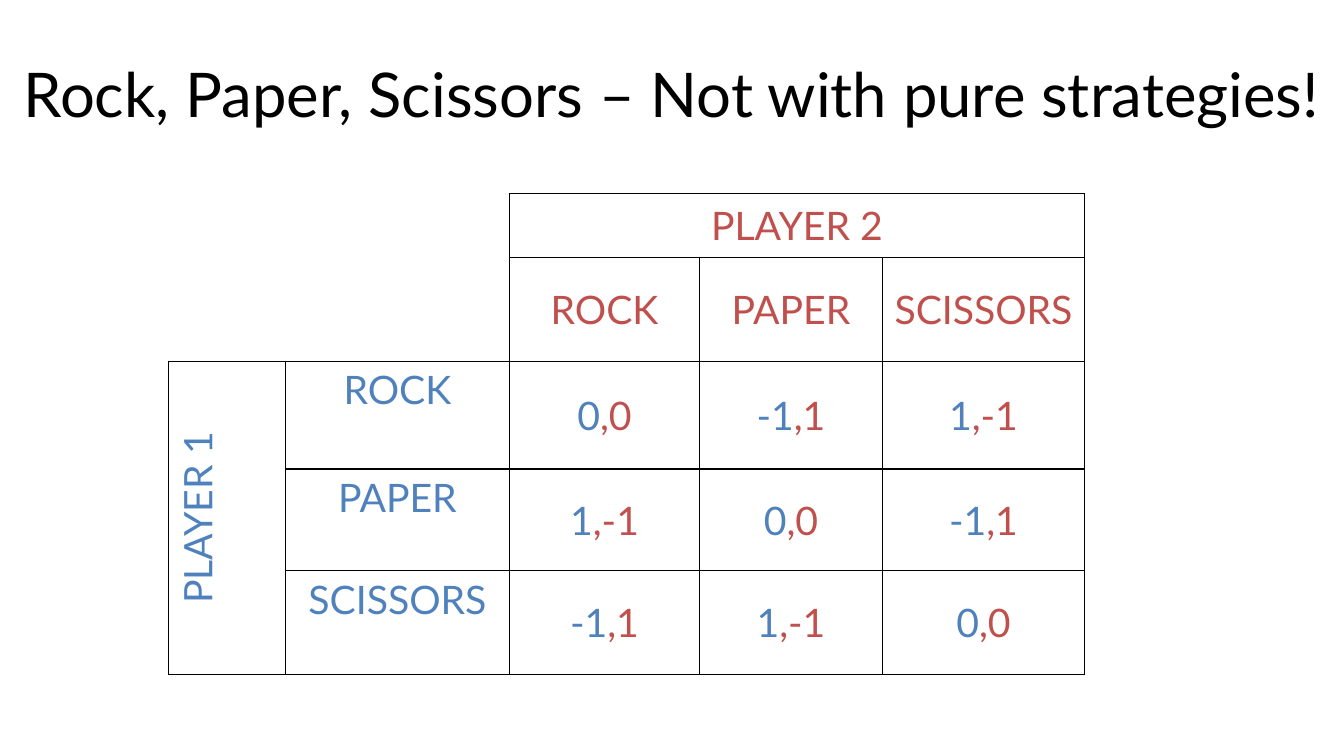
from lxml.etree import SubElement
from pptx import Presentation
from pptx.dml.color import RGBColor
from pptx.enum.text import MSO_ANCHOR, PP_ALIGN
from pptx.oxml.ns import qn
from pptx.util import Pt

FONT = "Lato"
BLACK = RGBColor(0x00, 0x00, 0x00)
BLUE = RGBColor(0x4F, 0x81, 0xBD)
RED = RGBColor(0xC0, 0x50, 0x4D)

MOVES = ["ROCK", "PAPER", "SCISSORS"]
PAYOFFS = [(0, 0), (1, -1), (-1, 1)]
COLUMN_WIDTHS = [83.5, 159.8, 136.1, 130.3, 144.7]
ROW_HEIGHTS = [45.4, 74.2, 77, 72.7, 74.2]


def style_run(run, size, color):
    run.font.name = FONT
    run.font.size = Pt(size)
    run.font.color.rgb = color


def add_title(slide, text, left, top, width, height):
    title = slide.shapes.title
    title.left, title.top, title.width, title.height = map(Pt, (left, top, width, height))
    frame = title.text_frame
    frame.text = text
    frame.vertical_anchor = MSO_ANCHOR.MIDDLE
    frame.paragraphs[0].alignment = PP_ALIGN.CENTER
    style_run(frame.paragraphs[0].runs[0], 44, BLACK)


def set_borders(cell, sides):
    """Clear the fill and draw 1 pt lines on the sides, given in the order L, R, T, B."""
    cell.fill.background()
    properties = cell._tc.get_or_add_tcPr()
    for position, side in enumerate("LRTB"):
        line = SubElement(properties, qn(f"a:ln{side}"), w=str(Pt(1)))
        properties.insert(position, line)
        if side in sides:
            fill = SubElement(line, qn("a:solidFill"))
            SubElement(fill, qn("a:srgbClr"), val=str(BLACK))
        else:
            SubElement(line, qn("a:noFill"))


def write_cell(cell, *parts, anchor=MSO_ANCHOR.MIDDLE):
    """Write (text, color) parts as the runs of one centred paragraph."""
    cell.vertical_anchor = anchor
    paragraph = cell.text_frame.paragraphs[0]
    paragraph.alignment = PP_ALIGN.CENTER
    for text, color in parts:
        run = paragraph.add_run()
        run.text = text
        style_run(run, 28, color)


def add_payoff_matrix(slide, left, top):
    size = len(COLUMN_WIDTHS)
    frame = slide.shapes.add_table(size, size, Pt(left), Pt(top),
                                   Pt(sum(COLUMN_WIDTHS)), Pt(sum(ROW_HEIGHTS)))
    matrix = frame.table
    matrix.first_row = matrix.horz_banding = False
    for column, width in zip(matrix.columns, COLUMN_WIDTHS):
        column.width = Pt(width)
    for row, height in zip(matrix.rows, ROW_HEIGHTS):
        row.height = Pt(height)

    for row in range(size):
        for column in range(size):
            in_corner = row < 2 and column < 2
            set_borders(matrix.cell(row, column), "RB" if in_corner and row == column == 0 else
                        "" if in_corner else "LRTB")

    matrix.cell(0, 0).merge(matrix.cell(1, 1))
    matrix.cell(0, 2).merge(matrix.cell(0, 4))
    matrix.cell(2, 0).merge(matrix.cell(4, 0))

    write_cell(matrix.cell(0, 2), ("PLAYER 2", RED))
    player_1 = matrix.cell(2, 0)
    write_cell(player_1, ("PLAYER 1", BLUE))
    player_1._tc.get_or_add_tcPr().set("vert", "vert270")

    for i, move in enumerate(MOVES):
        write_cell(matrix.cell(1, i + 2), (move, RED))
        write_cell(matrix.cell(i + 2, 1), (move, BLUE), anchor=MSO_ANCHOR.TOP)
        for j in range(len(MOVES)):
            first, second = PAYOFFS[(i - j) % len(MOVES)]
            write_cell(matrix.cell(i + 2, j + 2), (f"{first}", BLUE), (f",{second}", RED))


def main():
    deck = Presentation()
    deck.slide_width, deck.slide_height = Pt(960), Pt(540)
    slide = deck.slides.add_slide(deck.slide_layouts[5])
    add_title(slide, "Rock, Paper, Scissors – Not with pure strategies!", 0, 21.6, 960, 90)
    add_payoff_matrix(slide, 120.5, 138.5)
    deck.save("out.pptx")


if __name__ == "__main__":
    main()
